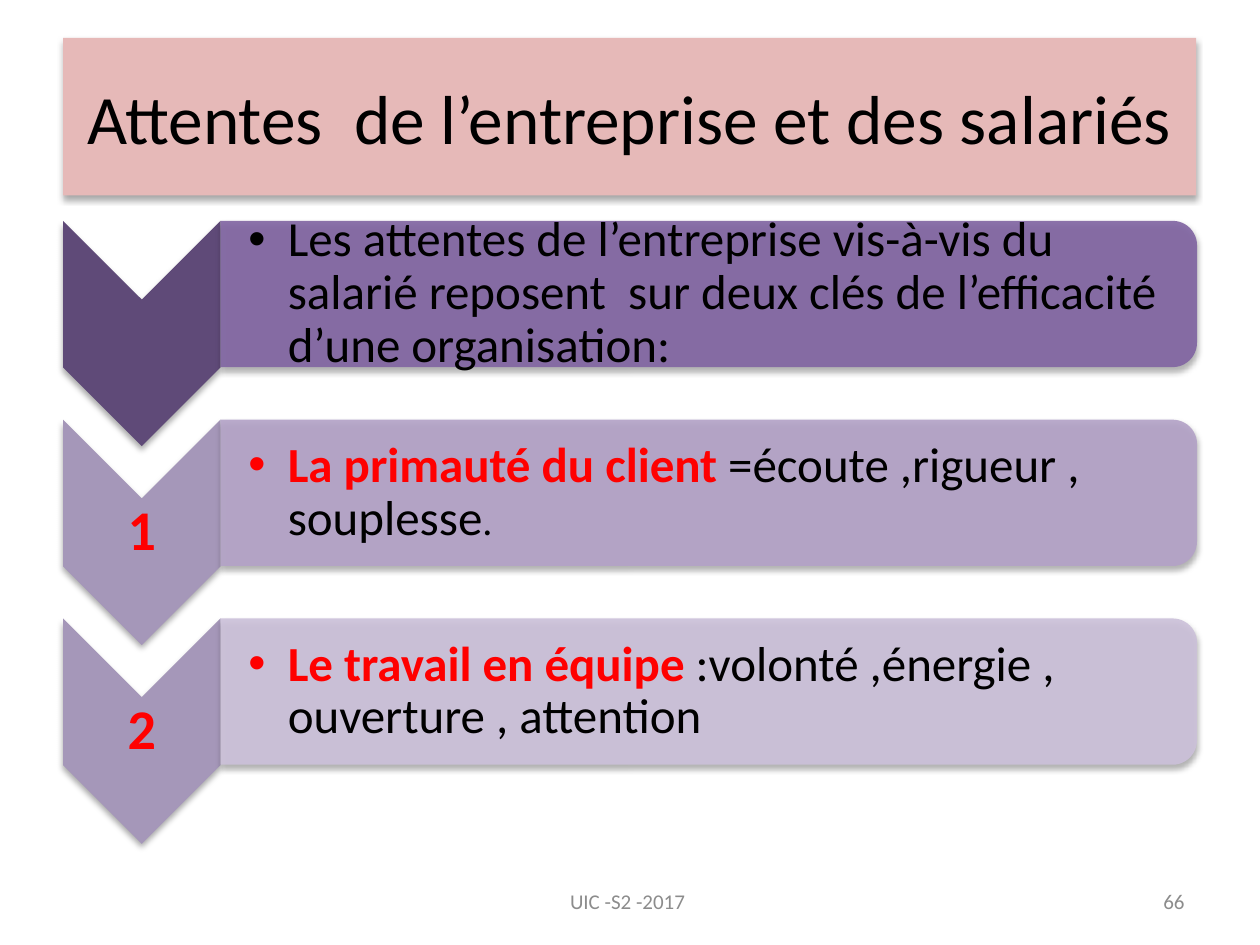
from dataclasses import dataclass
from lxml.etree import SubElement
from pptx import Presentation
from pptx.dml.color import RGBColor
from pptx.enum.shapes import MSO_SHAPE as Kind
from pptx.enum.text import MSO_ANCHOR as Anchor, MSO_AUTO_SIZE as Fit, PP_ALIGN as Align
from pptx.oxml.ns import qn
from pptx.util import Pt

FONT = "Calibri"
BLACK, RED, GREY = "000000", "FF0000", "8C8C8C"
LEFT, TOP, PITCH = 36, 126.2, 113.6
ARROW_W, ARROW_H = 90, 128.8
BAR_W, BAR_H = 558, 83.6


@dataclass
class Run:
    text: str
    size: float = 28
    color: str = BLACK
    bold: bool = False


@dataclass
class Row:
    mark: str
    arrow: str
    bar: str
    runs: list[Run]


ROWS = [
    Row("", "5F4A78", "8064A2", [
        Run("Les attentes de l’entreprise vis-à-vis du salarié reposent  "
            "sur deux clés de l’efficacité d’une organisation:")]),
    Row("1", "A597B9", "B3A2C7", [
        Run("La primauté du client ", color=RED, bold=True),
        Run("=écoute ,rigueur , souplesse"),
        Run(".", 23)]),
    Row("2", "A597B9", "CCC1DA", [
        Run("Le travail en équipe ", color=RED, bold=True),
        Run(":volonté ,énergie , ouverture , attention")]),
]


def paint(target, color: str) -> None:
    target.rgb = RGBColor.from_string(color)


def style(shape, color: str, alpha: int = 100) -> None:
    """Flat fill, no outline, soft shadow below."""
    shape.fill.solid()
    paint(shape.fill.fore_color, color)
    shape.line.fill.background()
    shape.shadow.inherit = False
    props = shape.element.spPr
    if alpha < 100:
        tone = props.find(qn("a:solidFill")).find(qn("a:srgbClr"))
        SubElement(tone, qn("a:alpha"), val=str(alpha * 1000))
    shade = SubElement(props.find(qn("a:effectLst")), qn("a:outerShdw"),
                       blurRad=str(Pt(3.5)), dist=str(Pt(2.2)),
                       dir="5400000", rotWithShape="0")
    tone = SubElement(shade, qn("a:srgbClr"), val=BLACK)
    SubElement(tone, qn("a:alpha"), val="32000")


def write(par, runs: list[Run]) -> None:
    for item in runs:
        run = par.add_run()
        run.text = item.text
        run.font.name = FONT
        run.font.size = Pt(item.size)
        run.font.bold = item.bold
        paint(run.font.color, item.color)


def add_text(slide, x: float, y: float, w: float, h: float,
             runs: list[Run], align: Align, pad: float = 1.5):
    box = slide.shapes.add_textbox(Pt(x), Pt(y), Pt(w), Pt(h))
    frame = box.text_frame
    frame.word_wrap = True
    frame.vertical_anchor = Anchor.MIDDLE
    frame.margin_left = frame.margin_right = Pt(pad)
    frame.margin_top = frame.margin_bottom = Pt(1.5)
    par = frame.paragraphs[0]
    par.alignment = align
    write(par, runs)
    return par


def add_turned(slide, kind: Kind, x: float, y: float, w: float, h: float):
    """Shape that fills the given box after a quarter turn."""
    shape = slide.shapes.add_shape(kind, Pt(x + (w - h) / 2), Pt(y + (h - w) / 2),
                                   Pt(h), Pt(w))
    shape.rotation = 90
    return shape


def add_row(slide, row: Row, y: float) -> None:
    # Arrow and its number
    arrow = add_turned(slide, Kind.CHEVRON, LEFT, y, ARROW_W, ARROW_H)
    style(arrow, row.arrow)
    if row.mark:
        par = add_text(slide, LEFT, y + 45, ARROW_W, 39,
                       [Run(row.mark, 32, RED, True)], Align.CENTER)
        par.line_spacing = 0.9
        par.space_after = Pt(11)

    # Bar and its bullet
    x = LEFT + ARROW_W
    bar = add_turned(slide, Kind.ROUND_2_SAME_RECTANGLE, x, y, BAR_W, BAR_H)
    style(bar, row.bar, 90)
    par = add_text(slide, x, y + 4, BAR_W - 4, BAR_H - 8, row.runs, Align.LEFT)
    par.line_spacing = 0.9
    par.space_after = Pt(4)
    par.level = 1
    props = par._p.get_or_add_pPr()
    props.set("marL", str(Pt(22.5)))
    props.set("indent", str(Pt(-22.5)))
    SubElement(props, qn("a:buFont"), typeface="Arial")
    SubElement(props, qn("a:buChar"), char="•")
    slide.shapes[-1].text_frame.margin_left = Pt(16)


def add_title(slide, text: str) -> None:
    title = slide.shapes.title
    title.left, title.top = Pt(LEFT), Pt(21.6)
    title.width, title.height = Pt(647.5), Pt(90)
    style(title, "E6B9B8")
    frame = title.text_frame
    frame.auto_size = Fit.NONE
    frame.vertical_anchor = Anchor.MIDDLE
    frame.paragraphs[0].alignment = Align.CENTER
    write(frame.paragraphs[0], [Run(text, 39.6)])


def main() -> None:
    deck = Presentation()
    deck.slide_width, deck.slide_height = Pt(720), Pt(540)
    slide = deck.slides.add_slide(deck.slide_layouts[5])
    add_title(slide, "Attentes  de l’entreprise et des salariés")
    for i, row in enumerate(ROWS):
        add_row(slide, row, TOP + i * PITCH)

    # Footer
    add_text(slide, 516, 500.5, 168, 28.8, [Run("66", 12, GREY)], Align.RIGHT, 7.2)
    add_text(slide, 246, 500.5, 228, 28.8, [Run("UIC -S2 -2017 ", 12, GREY)],
             Align.CENTER, 7.2)
    deck.save("out.pptx")


if __name__ == "__main__":
    main()
